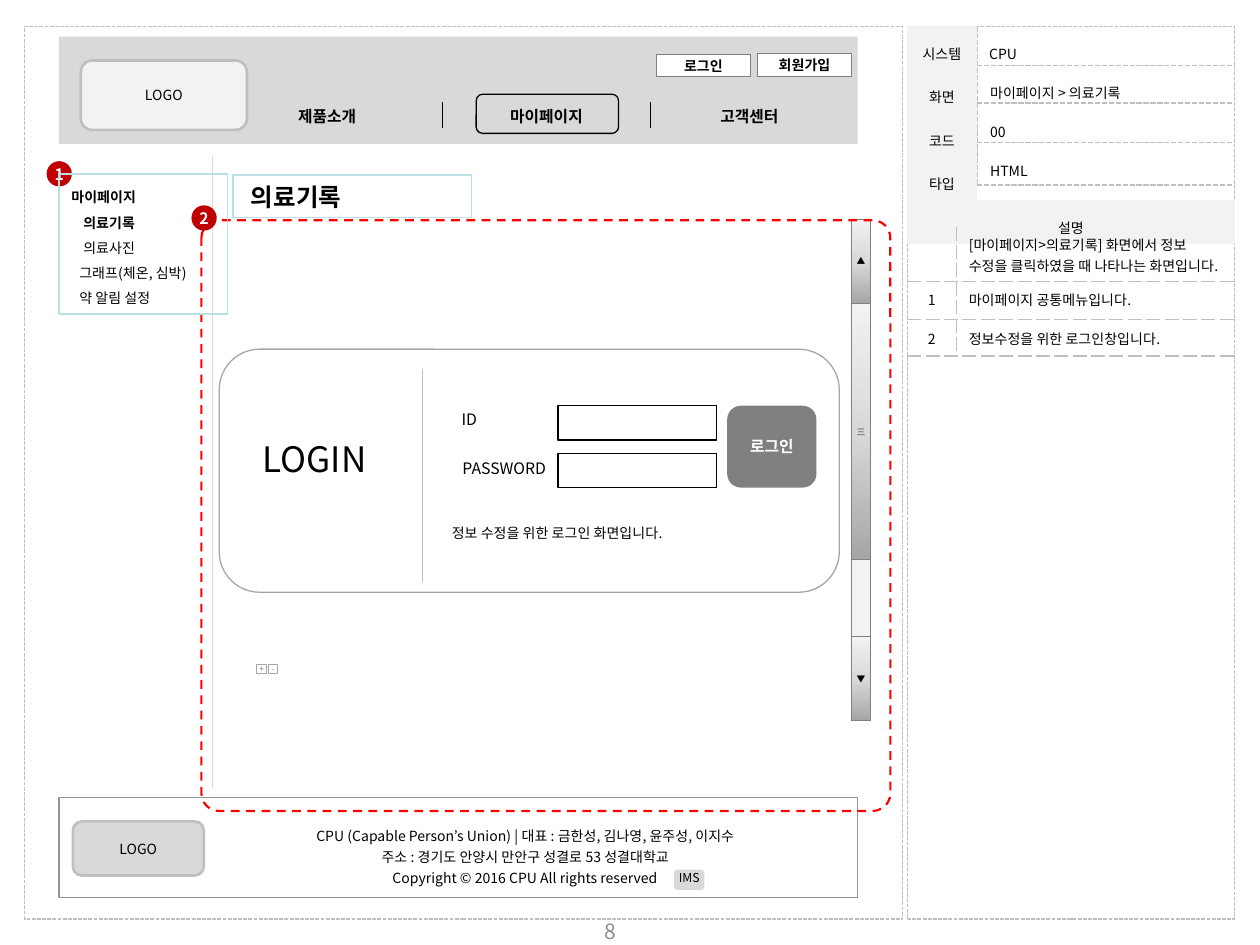
from copy import deepcopy
from dataclasses import dataclass
from typing import NamedTuple

from lxml.etree import SubElement
from pptx import Presentation
from pptx.dml.color import RGBColor
from pptx.enum.dml import MSO_LINE as Dash
from pptx.enum.shapes import MSO_CONNECTOR, MSO_SHAPE as Shape
from pptx.enum.text import MSO_ANCHOR as Anchor, PP_ALIGN as Align
from pptx.oxml.ns import qn
from pptx.util import Cm, Pt

FONT = "Noto Sans CJK KR"
NO_GRID_STYLE = "{2D5ABB26-0587-4C30-8999-92F81FD0307C}"
COLORS = {
    "black": "000000", "white": "FFFFFF", "pale": "F2F2F2", "light": "D9D9D9",
    "silver": "C0C0C0", "rule": "BFBFBF", "mid": "A6A6A6", "frame": "969696",
    "page": "8C8C8C", "gray": "808080", "aqua": "BBE0E3", "badge": "C00000",
    "red": "FF0000",
}
INSET = (0.25, 0.13, 0.25, 0.13)
FLAT = (0.25, 0, 0.25, 0)
NONE = (0, 0, 0, 0)


class Line(NamedTuple):
    text: str
    indent: float = 0
    bold: bool = False


@dataclass
class Style:
    size: float = 8
    color: str = "black"
    bold: bool = False
    align: Align = Align.CENTER
    spacing: object = None
    anchor: Anchor = Anchor.MIDDLE
    insets: tuple = INSET
    wrap: bool = True


@dataclass
class Box:
    kind: Shape
    at: tuple
    fill: object = None
    line: str | None = None
    width: float = 0.75
    dash: Dash | None = None
    lines: tuple = ()
    style: Style | None = None
    radius: float | None = None


class Cell(NamedTuple):
    text: str
    style: Style
    fill: str | None = None
    borders: dict = {}  # side letter -> (colour, points, dash)


def rgb(name: str) -> RGBColor:
    return RGBColor.from_string(COLORS[name])


def write(tf, lines: tuple, style: Style) -> None:
    for i, line in enumerate(lines):
        line = line if isinstance(line, Line) else Line(line)
        p = tf.paragraphs[0] if i == 0 else tf.add_paragraph()
        p.text = line.text
        p.alignment = style.align
        if style.spacing:
            p.line_spacing = style.spacing
        if line.indent:
            p._p.get_or_add_pPr().set("marL", str(Cm(line.indent)))
        p.font.size = Pt(style.size)
        p.font.bold = style.bold or line.bold
        p.font.color.rgb = rgb(style.color)
        p.font.name = FONT
        SubElement(p._p.pPr.find(qn("a:defRPr")), qn("a:ea"), typeface=FONT)


def set_frame(target, style: Style) -> None:
    """Set insets and anchor on a text frame or a table cell."""
    sides = ("margin_left", "margin_top", "margin_right", "margin_bottom")
    for side, inset in zip(sides, style.insets):
        setattr(target, side, Cm(inset))
    target.vertical_anchor = style.anchor


def fill_gradient(sp, colors: tuple) -> None:
    """Spread three colours evenly from the bottom of the shape to its top."""
    sp.fill.gradient()
    sp.fill.gradient_angle = 90
    stops = sp._element.spPr.find(".//" + qn("a:gsLst"))
    stops.insert(1, deepcopy(stops[0]))
    for i, (stop, color) in enumerate(zip(sp.fill.gradient_stops, colors)):
        stop.position = i / 2
        stop.color.rgb = rgb(color)


def draw_box(shapes, box: Box) -> None:
    sp = shapes.add_shape(box.kind, *map(Cm, box.at))
    sp.shadow.inherit = False
    if box.radius is not None:
        sp.adjustments[0] = box.radius
    if isinstance(box.fill, tuple):
        fill_gradient(sp, box.fill)
    elif box.fill:
        sp.fill.solid()
        sp.fill.fore_color.rgb = rgb(box.fill)
    else:
        sp.fill.background()
    if box.line:
        sp.line.color.rgb = rgb(box.line)
        sp.line.width = Pt(box.width)
        if box.dash:
            sp.line.dash_style = box.dash
    else:
        sp.line.fill.background()
    if box.lines:
        set_frame(sp.text_frame, box.style)
        sp.text_frame.word_wrap = box.style.wrap
        write(sp.text_frame, box.lines, box.style)


def draw_text(shapes, at: tuple, lines: tuple, style: Style) -> None:
    tf = shapes.add_textbox(*map(Cm, at)).text_frame
    tf.word_wrap = True
    set_frame(tf, style)
    write(tf, lines, style)


def draw_line(shapes, x1: float, y1: float, x2: float, y2: float, color: str = "rule",
              width: float = 0.75, dash: Dash | None = None) -> None:
    ln = shapes.add_connector(MSO_CONNECTOR.STRAIGHT, *map(Cm, (x1, y1, x2, y2)))
    SubElement(ln._element.spPr, qn("a:effectLst"))
    ln.line.color.rgb = rgb(color)
    ln.line.width = Pt(width)
    if dash:
        ln.line.dash_style = dash


def add_border(cell, side: str, color: str, width: float, dash: str) -> None:
    ln = SubElement(cell._tc.get_or_add_tcPr(), qn(f"a:ln{side}"), w=str(Pt(width)))
    SubElement(SubElement(ln, qn("a:solidFill")), qn("a:srgbClr"), val=COLORS[color])
    SubElement(ln, qn("a:prstDash"), val=dash)


def draw_table(shapes, x: float, y: float, cols: tuple, rows: tuple, cells: list):
    frame = shapes.add_table(len(rows), len(cols), Cm(x), Cm(y), Cm(sum(cols)), Cm(sum(rows)))
    table = frame.table
    table.first_row = table.horz_banding = False
    table._tbl.tblPr.find(qn("a:tableStyleId")).text = NO_GRID_STYLE
    for col, width in zip(table.columns, cols):
        col.width = Cm(width)
    for row, height, specs in zip(table.rows, rows, cells):
        row.height = Cm(height)
        for cell, spec in zip(row.cells, specs):
            for side in "LRTB":
                if side in spec.borders:
                    add_border(cell, side, *spec.borders[side])
            if spec.fill:
                cell.fill.solid()
                cell.fill.fore_color.rgb = rgb(spec.fill)
            else:
                cell.fill.background()
            set_frame(cell, spec.style)
            write(cell.text_frame, (spec.text,), spec.style)
    return table


def draw_template(shapes) -> None:
    """Draw the frames, page header, page footer and the screen's data sheet."""
    rect, rounded, dash = Shape.RECTANGLE, Shape.ROUNDED_RECTANGLE, Dash.SQUARE_DOT
    for x, w in ((0.5, 17.7), (18.29, 6.6)):
        draw_box(shapes, Box(rect, (x, 0.53, w, 18), line="silver", dash=dash))
    for y in (1.32, 2.08, 2.87, 3.73, 4.52):
        draw_line(shapes, 18.29, y, 24.89, y, width=1, dash=dash)
    draw_line(shapes, 19.7, 0.53, 19.7, 3.73, width=1, dash=dash)
    draw_line(shapes, 4.29, 3.15, 4.29, 15.88, color="light")

    tag = Style(7, anchor=Anchor.TOP, insets=(0.05, 0, 0.05, 0))
    for box in (
        Box(rect, (1.19, 0.74, 16.1, 2.16), "light"),
        Box(rounded, (1.47, 16.56, 2.64, 1.09), "light", "rule", 1.5, None, ("LOGO",), Style()),
        Box(rect, (1.19, 16.08, 16.1, 2.01), line="frame"),
        Box(rounded, (1.63, 1.22, 3.35, 1.4), "pale", "rule", 1.5, None, ("LOGO",), Style()),
        Box(rounded, (13.59, 17.53, 0.61, 0.41), "light", lines=("IMS",), style=tag),
    ):
        draw_box(shapes, box)

    label = Style(spacing=1.5, anchor=Anchor.TOP)
    value = Style(spacing=1.5, anchor=Anchor.TOP, align=Align.LEFT)
    sheet = (("시스템", "CPU"), ("화면", ""), ("코드", ""), ("타입", ""), ("설명", ""))
    table = draw_table(shapes, 18.29, 0.53, (1.4, 5.2), (0.87,) * 5,
                       [[Cell(k, label, "pale"), Cell(v, value)] for k, v in sheet])
    table.cell(4, 0).merge(table.cell(4, 1))

    draw_text(shapes, (4.06, 16.48, 13.06, 1.5), (
        "CPU (Capable Person’s Union) | 대표 : 금한성, 김나영, 윤주성, 이지수",
        "주소 : 경기도 안양시 만안구 성결로 53 성결대학교",
        "Copyright © 2016 CPU All rights reserved"), Style(spacing=Pt(12)))

    edges = dict.fromkeys("LRTB", ("gray", 0.5, "solid"))
    for x, y, text in ((13.23, 1.09, "로그인"), (15.27, 1.07, "회원가입")):
        draw_table(shapes, x, y, (1.9,), (0.46,),
                   [[Cell(text, Style(bold=True, insets=FLAT), "white", edges)]])
    bar = ("black", 1, "solid")
    nav = Style(9, bold=True, insets=FLAT)
    first = Style(9, bold=True, insets=(0.25, 0, 1.09, 0))
    draw_table(shapes, 5.11, 2.06, (3.81, 4.19, 3.99), (0.53,), [[
        Cell("제품소개", first, None, {"R": bar}),
        Cell("마이페이지", nav, None, {"L": bar, "R": bar}),
        Cell("고객센터", nav, None, {"L": bar})]])


def draw_descriptions(shapes) -> None:
    edge = ("rule", 0.75, "sysDash")
    notes = (("", "[마이페이지>의료기록] 화면에서 정보 수정을 클릭하였을 때 나타나는 화면입니다.", Anchor.TOP),
             ("1", "마이페이지 공통메뉴입니다.", Anchor.TOP),
             ("2", "정보수정을 위한 로그인창입니다.", Anchor.MIDDLE))
    draw_table(shapes, 18.29, 4.57, (0.99, 5.59), (0.76, 0.76, 0.74), [
        [Cell(no, Style(spacing=Pt(12), anchor=anchor), None, {"R": edge, "B": edge}),
         Cell(text, Style(spacing=Pt(12), anchor=anchor, align=Align.LEFT), None,
              {"L": edge, "B": edge})]
        for no, text, anchor in notes])
    value = Style(spacing=1.5, anchor=Anchor.TOP, align=Align.LEFT)
    draw_table(shapes, 19.71, 1.32, (5.2,), (0.79,) * 3,
               [[Cell(text, value)] for text in ("마이페이지 > 의료기록", "00", "HTML")])


def draw_badge(shapes, x: float, y: float, number: str) -> None:
    style = Style(9, "white", True, insets=(0.03,) * 4, wrap=False)
    draw_box(shapes, Box(Shape.OVAL, (x, y, 0.51, 0.51), "badge", lines=(number,), style=style))


def draw_scrollbar(shapes) -> None:
    group = shapes.add_group_shape().shapes
    x, w, rect = 17.17, 0.38, Shape.RECTANGLE
    draw_box(group, Box(rect, (x, 4.42, w, 10.11), "pale", "gray"))
    arrow, grip = Style(5, insets=NONE), Style(5, "gray", True, insets=NONE)
    for y, h, text, style in ((4.42, 1.7, "▲", arrow), (12.83, 1.7, "▼", arrow),
                              (6.12, 5.16, "三", grip)):
        draw_box(group, Box(rect, (x, y, w, h), ("mid", "light", "pale"), "gray",
                            lines=(text,), style=style))


def draw_login(shapes) -> None:
    rect, rounded = Shape.RECTANGLE, Shape.ROUNDED_RECTANGLE
    draw_box(shapes, Box(rounded, (4.42, 7.04, 12.5, 4.9), line="mid"))
    draw_line(shapes, 8.51, 7.44, 8.51, 11.73)
    for at, text, size, align in (
        ((4.57, 8.69, 3.07, 1.12), "LOGIN", 20, Align.RIGHT),
        ((8.69, 9.12, 2.95, 0.64), "PASSWORD", 9, Align.CENTER),
        ((8.66, 8.13, 1.6, 0.64), "ID", 9, Align.CENTER),
        ((8.86, 10.44, 7.6, 0.61), "정보 수정을 위한 로그인 화면입니다.", 8, Align.LEFT),
    ):
        draw_text(shapes, at, (text,), Style(size, align=align, anchor=Anchor.TOP))
    for y in (8.18, 9.14):
        draw_box(shapes, Box(rect, (11.25, y, 3.2, 0.69), line="black"))
    draw_box(shapes, Box(rounded, (14.66, 8.18, 1.8, 1.65), "gray", lines=("로그인",),
                         style=Style(9, "white", True)))


def main() -> None:
    prs = Presentation()
    prs.slide_width, prs.slide_height = Cm(25.4), Cm(19.05)
    shapes = prs.slides.add_slide(prs.slide_layouts[6]).shapes
    rect, rounded = Shape.RECTANGLE, Shape.ROUNDED_RECTANGLE

    draw_template(shapes)
    draw_text(shapes, (9.35, 18.26, 5.92, 1.02), ("8",), Style(12, "page"))
    draw_descriptions(shapes)
    draw_box(shapes, Box(rect, (4.7, 3.53, 4.8, 0.86), line="aqua",
                         lines=(Line("의료기록", 0.11),),
                         style=Style(14, bold=True, align=Align.LEFT, anchor=Anchor.TOP)))
    draw_badge(shapes, 0.94, 3.25, "1")
    draw_scrollbar(shapes)
    draw_box(shapes, Box(rounded, (4.06, 4.44, 13.89, 11.91), line="red", width=1.25,
                         dash=Dash.DASH, radius=0.03))
    draw_badge(shapes, 3.86, 4.14, "2")
    zoom = shapes.add_group_shape().shapes
    for x, sign in ((5.18, "+"), (5.41, "-")):
        draw_box(zoom, Box(rect, (x, 13.39, 0.19, 0.19), line="mid", width=0.5,
                           lines=(sign,), style=Style(5, "gray", insets=NONE)))
    draw_box(shapes, Box(rounded, (9.6, 1.9, 2.87, 0.79), line="black"))
    menu = (Line("마이페이지", bold=True), Line("의료기록", 0.24, True), Line("의료사진", 0.24),
            Line("그래프(체온, 심박)", 0.16), Line("약 알림 설정", 0.16))
    draw_box(shapes, Box(rect, (1.19, 3.51, 3.4, 2.82), line="aqua", lines=menu,
                         style=Style(align=Align.LEFT, spacing=1.5, anchor=Anchor.TOP)))
    draw_login(shapes)
    prs.save("out.pptx")


if __name__ == "__main__":
    main()
